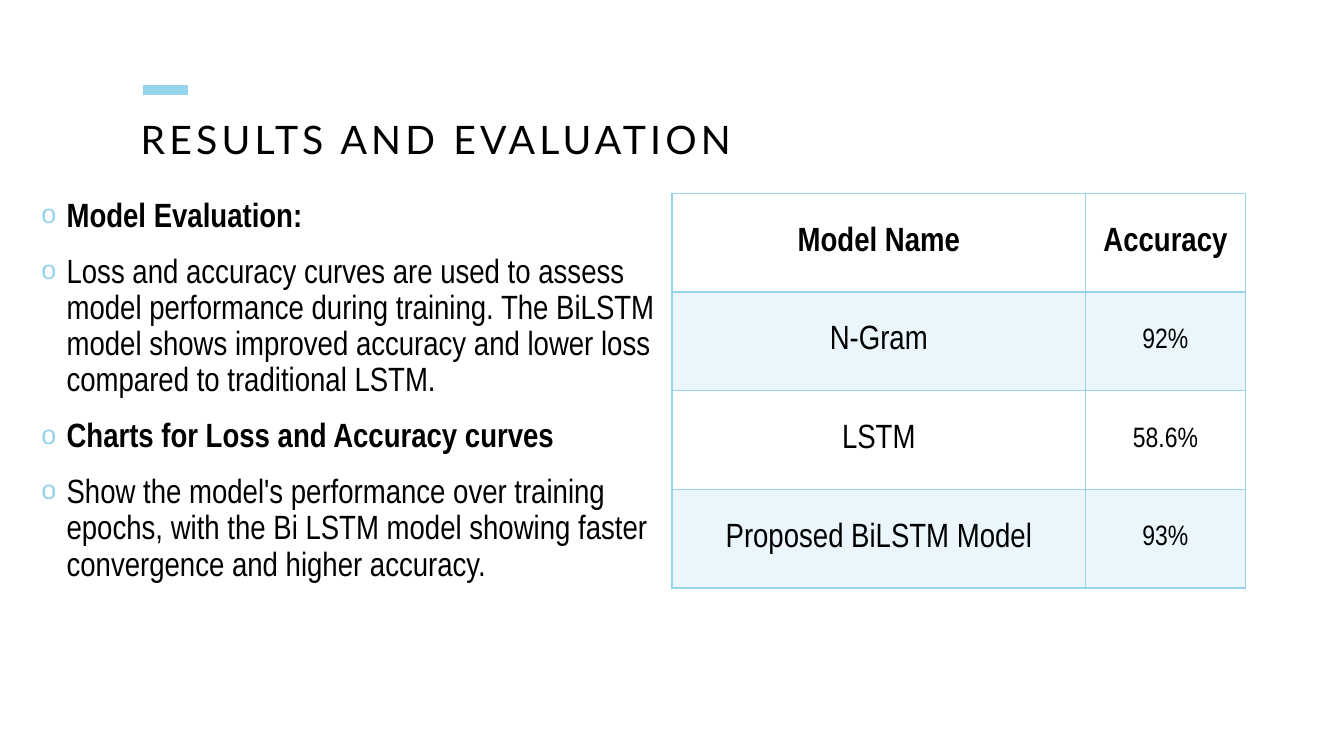
from dataclasses import dataclass

from lxml import etree
from pptx import Presentation
from pptx.dml.color import RGBColor
from pptx.enum.shapes import MSO_CONNECTOR
from pptx.enum.text import MSO_ANCHOR, MSO_AUTO_SIZE, PP_ALIGN
from pptx.oxml.ns import qn
from pptx.util import Pt

STRAIGHT = MSO_CONNECTOR.STRAIGHT
TOP, MIDDLE = MSO_ANCHOR.TOP, MSO_ANCHOR.MIDDLE
NO_AUTOFIT = MSO_AUTO_SIZE.NONE
LEFT, CENTER = PP_ALIGN.LEFT, PP_ALIGN.CENTER
EMU_PER_PX = 9525


@dataclass(frozen=True)
class Theme:
    accent: str = "96D3ED"
    text: str = "000000"
    title_font: str = "Lato"
    body_font: str = "Arial Narrow"
    bullet_font: str = "Arial"
    title_size: int = 28
    body_size: int = 24
    value_size: int = 20
    band_opacity: int = 20


THEME = Theme()

# Text and whether it is a bold heading
POINTS = [
    ("Model Evaluation:", True),
    ("Loss and accuracy curves are used to assess model performance during "
     "training. The BiLSTM model shows improved accuracy and lower loss "
     "compared to traditional LSTM.", False),
    ("Charts for Loss and Accuracy curves", True),
    ("Show the model's performance over training epochs, with the Bi LSTM "
     "model showing faster convergence and higher accuracy.", False),
]
RESULTS = [
    ("Model Name", "Accuracy"),
    ("N-Gram", "92%"),
    ("LSTM", "58.6%"),
    ("Proposed BiLSTM Model", "93%"),
]


def px(length):
    return length * EMU_PER_PX


def add_element(parent, tag, **attributes):
    element = etree.SubElement(parent, qn(tag))
    for name, value in attributes.items():
        element.set(name, str(value))
    return element


def style_font(font, name, size, bold=False):
    font.name = name
    font.size = Pt(size)
    font.bold = bold
    font.color.rgb = RGBColor.from_string(THEME.text)


def add_title(slide, text, left, top, width, height):
    """Place the title with a short accent bar above it."""
    bar_y = px(top - 29)
    bar = slide.shapes.add_connector(
        STRAIGHT, px(left + 2), bar_y, px(left + 45), bar_y)
    bar.line.color.rgb = RGBColor.from_string(THEME.accent)
    bar.line.width = Pt(7)
    add_element(bar.line._get_or_add_ln().getparent(), "a:effectLst")

    title = slide.shapes.title
    title.left, title.top, title.width, title.height = map(
        px, (left, top, width, height))
    frame = title.text_frame
    frame.text = text
    frame.auto_size = NO_AUTOFIT
    frame.vertical_anchor = TOP
    frame.margin_left = frame.margin_top = 0
    frame.margin_right = frame.margin_bottom = 0
    paragraph = frame.paragraphs[0]
    paragraph.alignment = LEFT
    paragraph.line_spacing = 0.9
    style_font(paragraph.font, THEME.title_font, THEME.title_size)
    paragraph.runs[0].font._element.set("spc", "300")


def add_bullet(paragraph):
    properties = paragraph._p.get_or_add_pPr()
    properties.set("marL", str(px(24)))
    properties.set("indent", str(px(-24)))
    default_run = properties.find(qn("a:defRPr"))
    color = etree.Element(qn("a:buClr"))
    add_element(color, "a:srgbClr", val=THEME.accent)
    size = etree.Element(qn("a:buSzPct"), val="80000")
    font = etree.Element(qn("a:buFont"), typeface=THEME.bullet_font)
    character = etree.Element(qn("a:buChar"), char="o")
    for element in (color, size, font, character):
        default_run.addprevious(element)


def add_points(slide, points, left, top, width, height):
    box = slide.shapes.add_textbox(*map(px, (left, top, width, height)))
    frame = box.text_frame
    frame.word_wrap = True
    for index, (text, bold) in enumerate(points):
        paragraph = frame.add_paragraph() if index else frame.paragraphs[0]
        paragraph.text = text
        paragraph.line_spacing = 0.9
        paragraph.space_before = Pt(14)
        style_font(paragraph.font, THEME.body_font, THEME.body_size, bold)
        add_bullet(paragraph)


def set_borders(cell, row):
    """Draw all four sides, doubling the rule under the header row."""
    widths = {"L": 1, "R": 1, "T": 2 if row == 1 else 1, "B": 2 if row == 0 else 1}
    properties = cell._tc.get_or_add_tcPr()
    for side, width in widths.items():
        line = add_element(properties, f"a:ln{side}", w=Pt(width))
        fill = add_element(line, "a:solidFill")
        add_element(fill, "a:srgbClr", val=THEME.accent)


def fill_cell(cell, banded):
    if not banded:
        cell.fill.background()
        return
    cell.fill.solid()
    cell.fill.fore_color.rgb = RGBColor.from_string(THEME.accent)
    color = cell._tc.tcPr.find(qn("a:solidFill")).find(qn("a:srgbClr"))
    add_element(color, "a:alpha", val=THEME.band_opacity * 1000)


def add_results_table(slide, results, left, top, width, height):
    table = slide.shapes.add_table(
        len(results), len(results[0]), *map(px, (left, top, width, height))).table
    table.horz_banding = False
    name_width = 394
    table.columns[0].width = px(name_width)
    table.columns[1].width = px(width - name_width)
    for row, values in enumerate(results):
        for column, text in enumerate(values):
            cell = table.cell(row, column)
            cell.text = text
            cell.vertical_anchor = MIDDLE
            paragraph = cell.text_frame.paragraphs[0]
            paragraph.alignment = CENTER
            is_value = row > 0 and column > 0
            size = THEME.value_size if is_value else THEME.body_size
            style_font(paragraph.font, THEME.body_font, size, row == 0)
            set_borders(cell, row)
            fill_cell(cell, row % 2 == 1)


def main():
    presentation = Presentation()
    presentation.slide_width = px(1280)
    presentation.slide_height = px(720)
    title_only = presentation.slide_layouts[5]
    slide = presentation.slides.add_slide(title_only)
    for placeholder in list(slide.placeholders):
        if placeholder != slide.shapes.title:
            placeholder.element.getparent().remove(placeholder.element)
    add_title(slide, "RESULTS AND EVALUATION", 134, 115, 1031, 96)
    add_points(slide, POINTS, 30, 184, 610, 468)
    add_results_table(slide, RESULTS, 640, 184, 546, 376)
    presentation.save("out.pptx")


if __name__ == "__main__":
    main()
